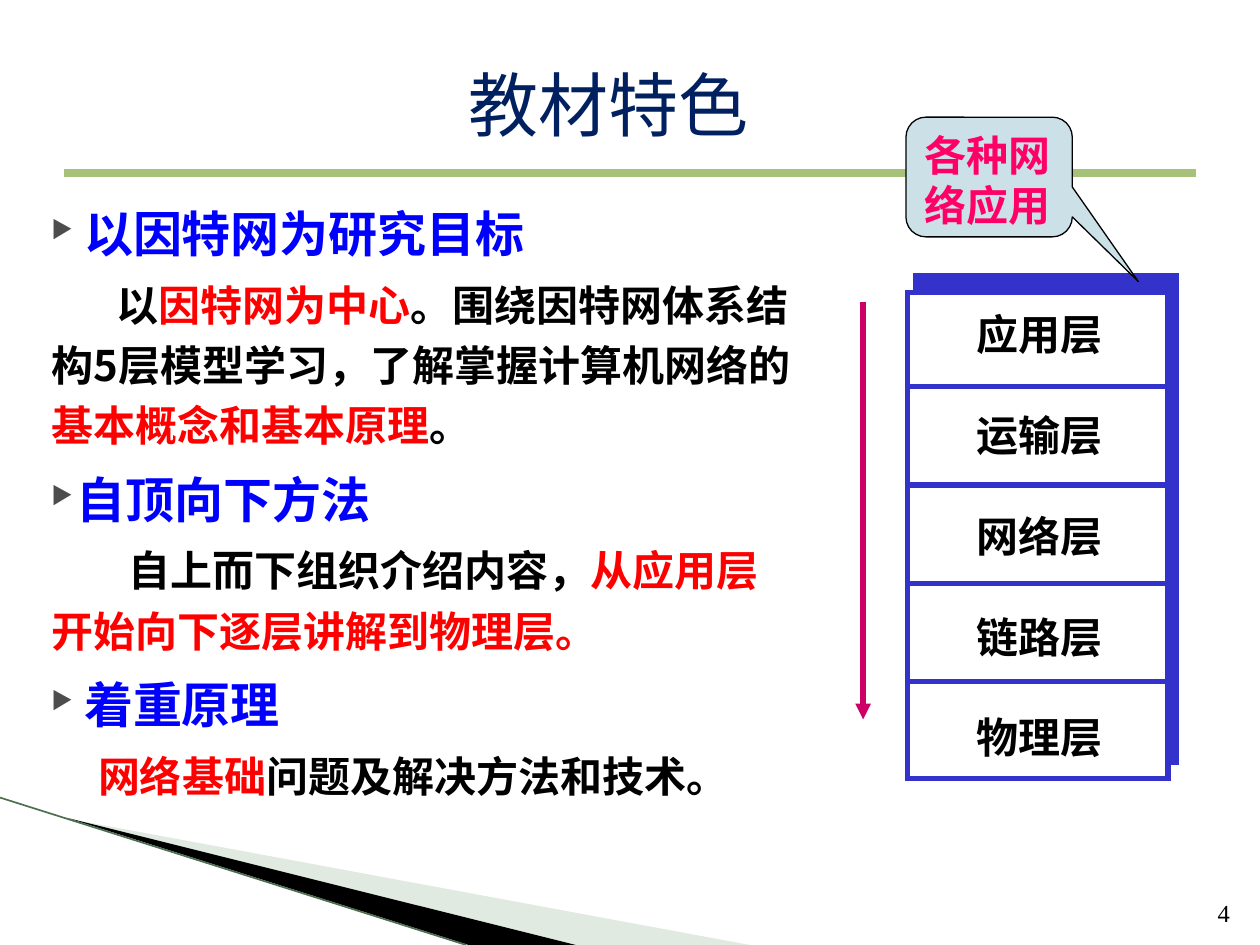
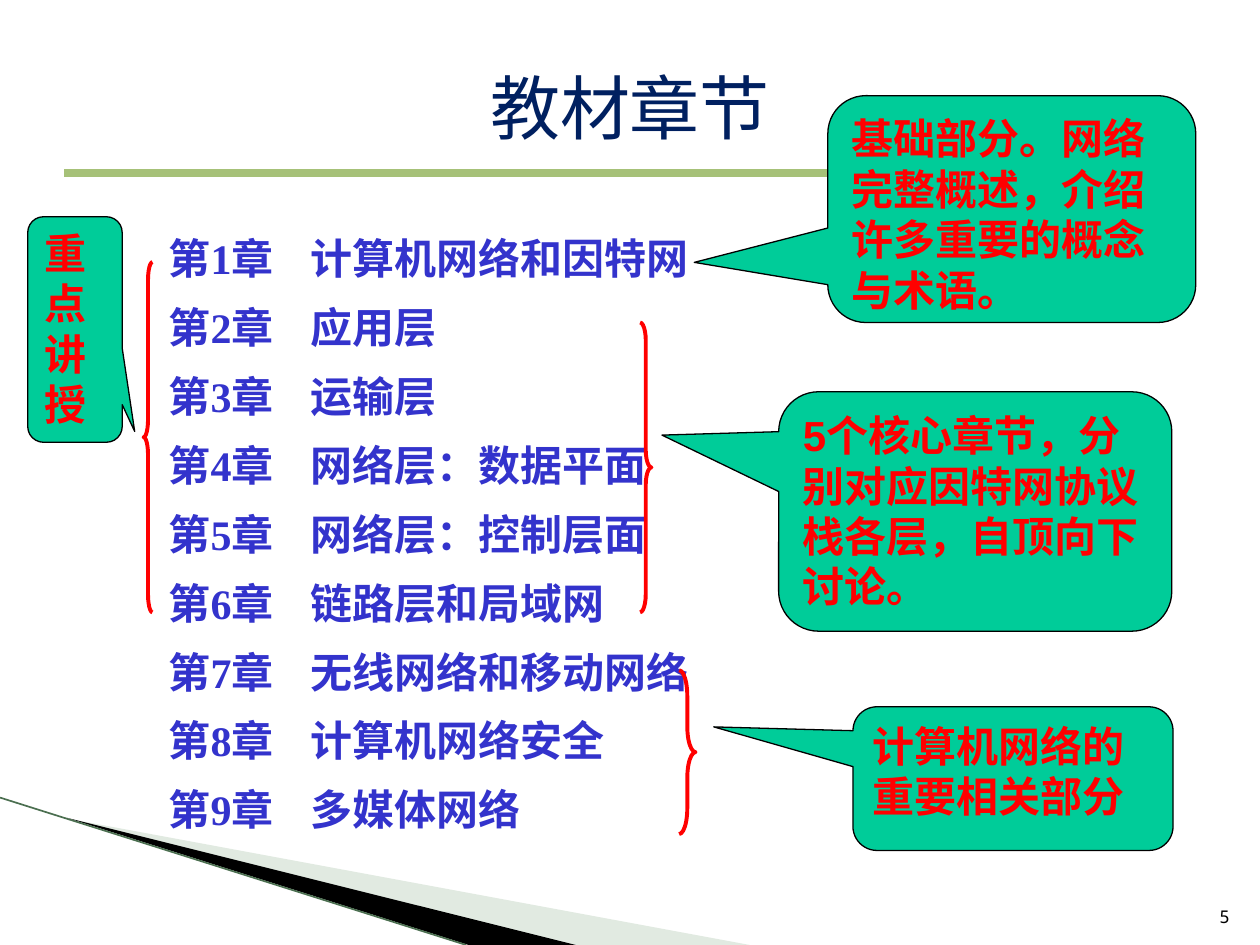
from dataclasses import dataclass

import pptx
import pptx.dml.color
import pptx.enum.shapes
import pptx.enum.text
import pptx.oxml
import pptx.oxml.ns
import pptx.util
from pptx.util import Inches

SHAPES = pptx.enum.shapes.MSO_SHAPE
ANCHOR = pptx.enum.text.MSO_ANCHOR
ALIGN = pptx.enum.text.PP_ALIGN

# Shared colours and fonts
BLACK, WHITE, RED = "000000", "FFFFFF", "FF0000"
NAVY, BLUE, INDIGO = "002060", "0000FF", "3333CC"
PINK, MAGENTA = "FF0066", "CC0066"
MINT, ICE = "00CC99", "CBE1E7"
RULE_GREEN, EDGE_GREEN, PALE_GREEN = "A6C178", "4B6F50", "E1EAE1"
CHINESE, MONO = "Noto Sans CJK SC", "Noto Sans Mono"
LINE_FACTOR = 1.2


@dataclass
class Box:
    left: float
    top: float
    width: float
    height: float

    def lengths(self):
        return [Inches(n) for n in (self.left, self.top, self.width, self.height)]


@dataclass
class Callout:
    box: Box
    tail: tuple[float, float]
    text: str
    fill: str = MINT
    color: str = RED
    font: str = "Arial"


@dataclass
class Brace:
    kind: SHAPES
    box: Box
    curl: float


@dataclass
class Topic:
    heading: str
    heading_indent: float
    body_indent: float
    body: list[tuple[str, str]]


CORE_CALLOUT = Callout(Box(7.19, 0.93, 1.32, 0.95), (0.897, 0.873),
                       "各种网络应用", ICE, PINK, CHINESE)
TOPICS = [
    Topic("以因特网为研究目标", 0.26, 0.52, [
        ("以", BLACK), ("因特网为中心", RED),
        ("。围绕因特网体系结构5层模型学习，了解掌握计算机网络的", BLACK),
        ("基本概念和基本原理", RED), ("。", BLACK)]),
    Topic("自顶向下方法", 0.2, 0.61, [
        ("自上而下组织介绍内容，", BLACK),
        ("从应用层开始向下逐层讲解到物理层。", RED)]),
    Topic("着重原理", 0.26, 0.37, [
        ("网络基础", RED), ("问题及解决方法和技术。", BLACK)]),
]
LAYERS = ["应用层", "运输层", "网络层", "链路层", "物理层"]
CHAPTERS = ["计算机网络和因特网", "应用层", "运输层", "网络层：数据平面",
            "网络层：控制层面", "链路层和局域网", "无线网络和移动网络",
            "计算机网络安全", "多媒体网络"]
CHAPTER_CALLOUTS = [
    Callout(Box(6.57, 0.76, 2.92, 1.8), (-0.863, 0.235),
            "基础部分。网络完整概述，介绍许多重要的概念与术语。"),
    Callout(Box(6.18, 3.11, 3.12, 1.9), (-0.797, -0.319),
            "5个核心章节，分别对应因特网协议栈各层，自顶向下讨论。"),
    Callout(Box(6.77, 5.61, 2.54, 1.14), (-0.935, -0.36), "计算机网络的重要相关部分"),
    Callout(Box(0.22, 1.72, 0.75, 1.79), (0.632, 0.452), "重点讲授"),
]
BRACES = [
    Brace(SHAPES.RIGHT_BRACE, Box(5.08, 2.56, 0.09, 2.3), 1.571),
    Brace(SHAPES.RIGHT_BRACE, Box(5.39, 5.32, 0.13, 1.3), 1.565),
    Brace(SHAPES.LEFT_BRACE, Box(1.14, 2.08, 0.07, 2.78), 1.984),
]


def rgb(color: str) -> pptx.dml.color.RGBColor:
    return pptx.dml.color.RGBColor.from_string(color)


def add_xml(parent, tag: str, **attributes: str):
    element = parent.makeelement(pptx.oxml.ns.qn(tag), attributes)
    parent.append(element)
    return element


def style_text(paragraph, font: str, size: float, color: str = BLACK,
               bold: bool = True) -> None:
    paragraph.font.name = font
    paragraph.font.size = pptx.util.Pt(size)
    paragraph.font.bold = bold
    paragraph.font.color.rgb = rgb(color)
    properties = paragraph._p.get_or_add_pPr().find(pptx.oxml.ns.qn("a:defRPr"))
    add_xml(properties, "a:ea", typeface=CHINESE)


def set_spacing(paragraph, size: float, factor: float, before: float) -> None:
    paragraph.line_spacing = pptx.util.Pt(size * LINE_FACTOR * factor)
    paragraph.space_before = pptx.util.Pt(before)


def set_indent(paragraph, first_line: float, left: float = 0):
    properties = paragraph._p.get_or_add_pPr()
    properties.set("marL", str(Inches(left)))
    properties.set("indent", str(Inches(first_line)))
    return properties


def next_paragraph(frame, index: int):
    return frame.add_paragraph() if index else frame.paragraphs[0]


def add_text_box(slide, box: Box, anchor=ANCHOR.TOP, wrap: bool = True):
    frame = slide.shapes.add_textbox(*box.lengths()).text_frame
    frame.word_wrap = wrap
    frame.vertical_anchor = anchor
    return frame


def style_shape(shape, fill: str | None, line: str | None, width: float = 0) -> None:
    shape.shadow.inherit = False
    if fill:
        shape.fill.solid()
        shape.fill.fore_color.rgb = rgb(fill)
    else:
        shape.fill.background()
    if line:
        shape.line.color.rgb = rgb(line)
        shape.line.width = pptx.util.Pt(width)
    else:
        shape.line.fill.background()


def add_line(slide, start: tuple[float, float], end: tuple[float, float],
             color: str, width: float, arrow: bool = False) -> None:
    connector = slide.shapes.add_connector(
        pptx.enum.shapes.MSO_CONNECTOR.STRAIGHT,
        *[Inches(n) for n in (*start, *end)])
    connector.line.color.rgb = rgb(color)
    connector.line.width = pptx.util.Pt(width)
    if arrow:
        add_xml(connector.line._get_or_add_ln(), "a:tailEnd", type="triangle")
    add_xml(connector._element.spPr, "a:effectLst")


def add_wedge(slide, points: list[tuple[float, float]], color: str) -> None:
    corners = [(Inches(x), Inches(y)) for x, y in points]
    builder = slide.shapes.build_freeform(*corners[0])
    builder.add_line_segments(corners[1:])
    style_shape(builder.convert_to_shape(), color, None)


def add_callout(slide, callout: Callout) -> None:
    shape = slide.shapes.add_shape(SHAPES.ROUNDED_RECTANGULAR_CALLOUT,
                                   *callout.box.lengths())
    for index, value in enumerate((*callout.tail, 0.167)):
        shape.adjustments[index] = value
    style_shape(shape, callout.fill, BLACK, 0.75)
    frame = shape.text_frame
    frame.word_wrap = True
    frame.vertical_anchor = ANCHOR.TOP
    paragraph = frame.paragraphs[0]
    paragraph.text = callout.text
    paragraph.alignment = ALIGN.LEFT
    set_spacing(paragraph, 24, 1, 0)
    style_text(paragraph, callout.font, 24, callout.color)


def add_base_slide(presentation, title: str, title_box: Box, number: str,
                   number_font: str, number_size: float):
    slide = presentation.slides.add_slide(presentation.slide_layouts[6])
    # Corner wedges and title rule
    add_wedge(slide, [(0.55, 6.5), (5.95, 7.5), (4.56, 7.5)], PALE_GREEN)
    add_wedge(slide, [(0.53, 6.49), (4.57, 7.5), (3.72, 7.5)], BLACK)
    add_line(slide, (0, 6.33), (3.7, 7.5), EDGE_GREEN, 0.95)
    add_line(slide, (0.51, 1.37), (9.49, 1.37), RULE_GREEN, 4.5)
    # Title and page number
    heading = add_text_box(slide, title_box, ANCHOR.MIDDLE).paragraphs[0]
    heading.text = title
    heading.alignment = ALIGN.CENTER
    style_text(heading, MONO, 40, NAVY, False)
    page = add_text_box(slide, Box(9.46, 7.01, 0.4, 0.4), ANCHOR.BOTTOM).paragraphs[0]
    page.text = number
    page.alignment = ALIGN.RIGHT
    style_text(page, number_font, number_size, BLACK, False)
    return slide


def add_topics(slide) -> None:
    frame = add_text_box(slide, Box(0.31, 1.47, 6.07, 4.96))
    for index, topic in enumerate(TOPICS):
        heading = next_paragraph(frame, index)
        heading.text = topic.heading
        properties = set_indent(heading, -topic.heading_indent, topic.heading_indent)
        add_xml(add_xml(properties, "a:buClr"), "a:srgbClr", val="4D4D4D")
        add_xml(properties, "a:buSzPct", val="50000")
        add_xml(properties, "a:buChar", char="▶")
        set_spacing(heading, 28, 1.2, 4 if index else 0)
        style_text(heading, MONO, 28, BLUE)

        body = frame.add_paragraph()
        set_indent(body, topic.body_indent)
        set_spacing(body, 24, 1.2, 4)
        style_text(body, CHINESE, 24)
        for text, color in topic.body:
            run = body.add_run()
            run.text = text
            run.font.color.rgb = rgb(color)


def add_layer_stack(slide) -> None:
    for box, fill in ((Box(7.27, 2.19, 2.07, 3.86), INDIGO),
                      (Box(7.2, 2.32, 2.07, 3.86), WHITE)):
        panel = slide.shapes.add_shape(SHAPES.RECTANGLE, *box.lengths())
        style_shape(panel, fill, INDIGO, 3)
        add_xml(panel.line._get_or_add_ln(), "a:miter", lim="800000")
    frame = add_text_box(slide, Box(7.65, 2.4, 1.2, 3.69), wrap=False)
    for index, layer in enumerate(LAYERS):
        label = next_paragraph(frame, index)
        label.text = layer
        set_spacing(label, 24, 1, 28.8 if index else 0)
        style_text(label, "Comic Neue", 24)
        if index:
            divider = 3.07 + 0.78 * (index - 1)
            add_line(slide, (7.19, divider), (9.26, divider), INDIGO, 3)


def build_features(presentation) -> None:
    slide = add_base_slide(presentation, "教材特色", Box(0.58, 0.22, 8.5, 1.2),
                           "4", "Times New Roman", 14)
    add_topics(slide)
    add_layer_stack(slide)
    add_line(slide, (6.85, 2.4), (6.85, 5.71), MAGENTA, 3, arrow=True)
    add_callout(slide, CORE_CALLOUT)


def build_chapters(presentation) -> None:
    slide = add_base_slide(presentation, "教材章节", Box(0.5, 0.3, 9, 1.09),
                           "5", MONO, 10)
    # Chapter list, with names aligned on the hanging indent
    frame = add_text_box(slide, Box(1.24, 1.72, 4.7, 5.33))
    for index, name in enumerate(CHAPTERS):
        chapter = next_paragraph(frame, index)
        chapter.text = f"第{index + 1}章\t{name}"
        set_indent(chapter, -1.13, 1.13)
        set_spacing(chapter, 24, 1.2, 4.8 if index else 0)
        style_text(chapter, "Times New Roman", 24, INDIGO)
    # Callouts and braces
    for callout in CHAPTER_CALLOUTS:
        add_callout(slide, callout)
    for brace in BRACES:
        shape = slide.shapes.add_shape(brace.kind, *brace.box.lengths())
        shape.adjustments[0] = brace.curl
        style_shape(shape, None, RED, 2.25)


def main() -> None:
    presentation = pptx.Presentation()
    presentation.slide_width = Inches(10)
    presentation.slide_height = Inches(7.5)
    build_features(presentation)
    build_chapters(presentation)
    presentation.save("out.pptx")


if __name__ == "__main__":
    main()
